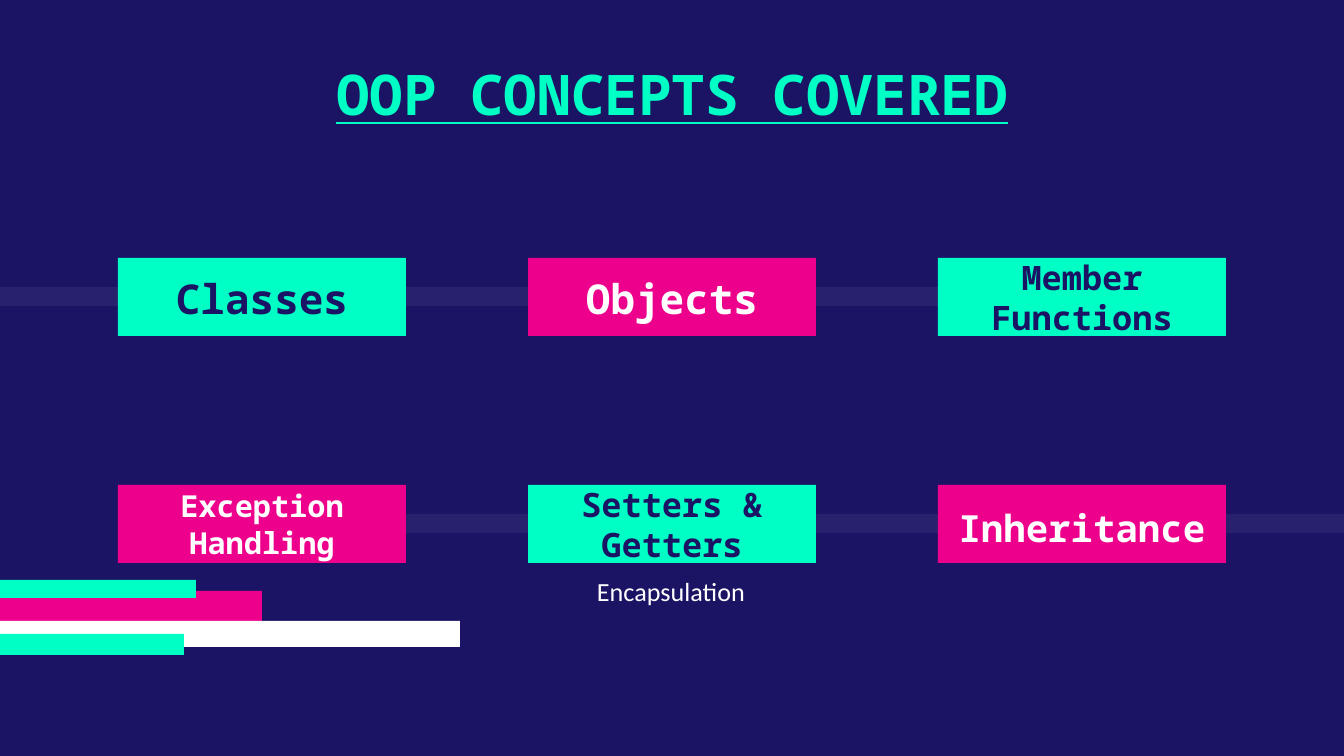
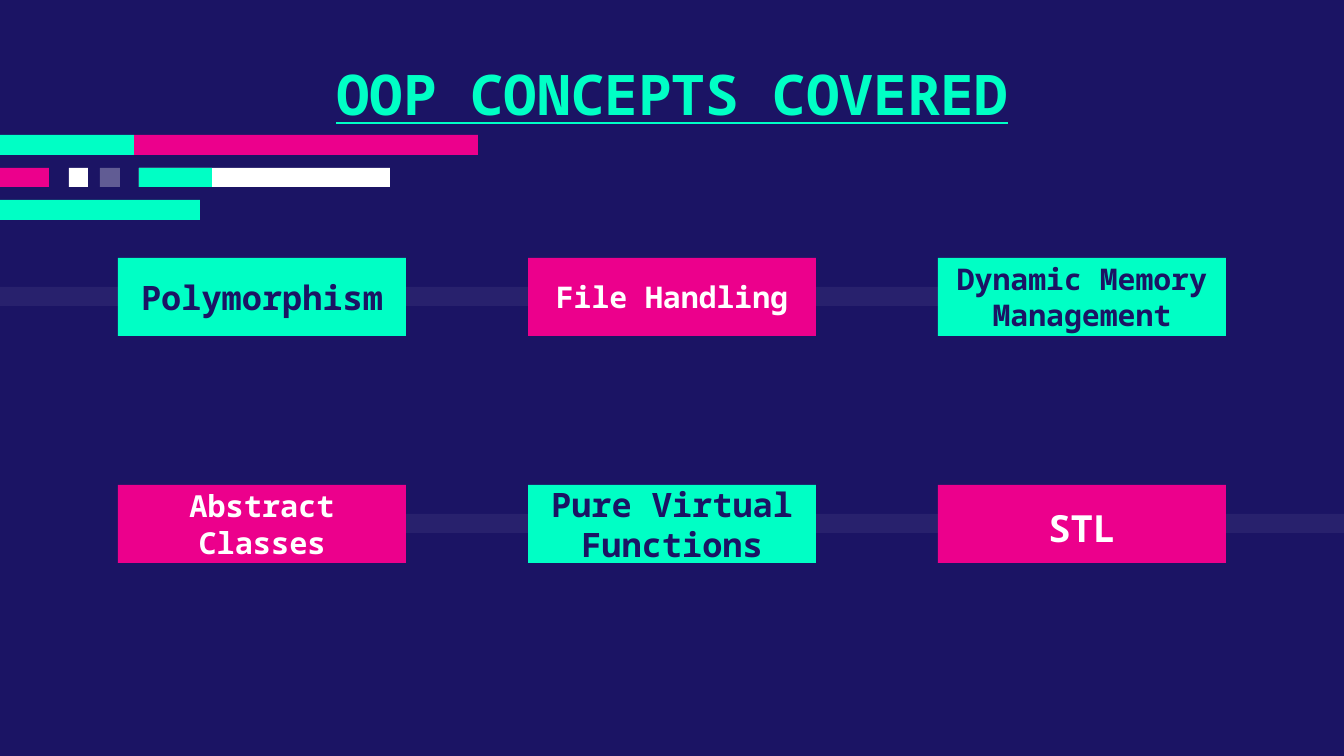
from lxml import etree
from pptx import Presentation
from pptx.dml.color import RGBColor
from pptx.enum.shapes import MSO_SHAPE
from pptx.enum.text import MSO_ANCHOR, MSO_AUTO_SIZE, PP_ALIGN
from pptx.oxml.ns import qn
from pptx.util import Pt

RECTANGLE = MSO_SHAPE.RECTANGLE
TOP, MIDDLE, BOTTOM = MSO_ANCHOR.TOP, MSO_ANCHOR.MIDDLE, MSO_ANCHOR.BOTTOM
CENTER = PP_ALIGN.CENTER
NO_AUTOFIT = MSO_AUTO_SIZE.NONE

COLORS = {"navy": "1B1464", "teal": "00FFC5", "pink": "EC008C", "white": "FFFFFF"}
MONO, SANS = "Noto Sans Mono", "Calibri"
TITLE_SLIDE, TITLE_ONLY = 0, 5

EMU_PER_PX = 914400 / 134.4
SLIDE_WIDTH, SLIDE_HEIGHT = 1344, 756
INSET = 13
TITLE_BOX = (188, 47, 968, 98)
SUBTITLE_BOX = (532, 562, 278, 98)
CARD_LEFT, CARD_TOP, CARD_WIDTH, CARD_HEIGHT = 118, 258, 288, 78
COLUMN_STEP, ROW_STEP, COLUMNS = 410, 227, 3
LARGE_LABEL = 20
RAILS = [(0, 287, 1145, 19), (137, 514, 1207, 19)]
RAIL_OPACITY = 6

SLIDES = [
    {
        "layout": TITLE_SLIDE,
        "title": "OOP CONCEPTS COVERED",
        "subtitle": "Encapsulation",
        "cards": [
            ("Classes", 22), ("Objects", 22), ("Member Functions", 18),
            ("Exception Handling", 16.2), ("Setters & Getters", 18), ("Inheritance", 20),
        ],
        "bars": [
            ("pink", (-331, 591, 593, 43), 100),
            ("teal", (-185, 580, 381, 18), 100),
            ("white", (-103, 621, 563, 26), 100),
            ("teal", (-266, 634, 450, 21), 100),
        ],
    },
    {
        "layout": TITLE_ONLY,
        "title": "OOP CONCEPTS COVERED",
        "subtitle": None,
        "cards": [
            ("Polymorphism", 18), ("File Handling", 16), ("Dynamic Memory Management", 16),
            ("Abstract Classes", 16.2), ("Pure Virtual Functions", 18), ("STL", 20),
        ],
        "bars": [
            ("pink", (134, 135, 344, 20), 100),
            ("teal", (-36, 135, 170, 20), 100),
            ("white", (139, 168, 251, 19), 100),
            ("teal", (139, 168, 73, 19), 100),
            ("pink", (-36, 168, 85, 19), 100),
            ("white", (100, 168, 20, 19), 31),
            ("white", (69, 168, 19, 19), 100),
            ("teal", (-2, 200, 202, 20), 100),
        ],
    },
]


def px(value):
    return round(value * EMU_PER_PX)


def color(name):
    return RGBColor.from_string(COLORS[name])


def add_block(slide, fill, box, opacity=100):
    shape = slide.shapes.add_shape(RECTANGLE, *map(px, box))
    shape.shadow.inherit = False
    shape.fill.solid()
    shape.fill.fore_color.rgb = color(fill)
    shape.line.fill.background()
    if opacity < 100:
        solid_color = shape.fill._xPr.find(".//" + qn("a:srgbClr"))
        etree.SubElement(solid_color, qn("a:alpha"), val=str(opacity * 1000))
    return shape


def write(shape, text, size, font_name, text_color, anchor, bold=True, underline=False):
    frame = shape.text_frame
    frame.text = text
    frame.word_wrap = True
    frame.auto_size = NO_AUTOFIT
    frame.vertical_anchor = anchor
    frame.margin_left = frame.margin_right = px(INSET)
    frame.margin_top = frame.margin_bottom = px(INSET)
    paragraph = frame.paragraphs[0]
    paragraph.alignment = CENTER
    paragraph.line_spacing = 1.0
    paragraph.space_before = Pt(0)
    font = paragraph.font
    font.name, font.size = font_name, Pt(size)
    font.bold, font.underline = bold, underline
    font.color.rgb = color(text_color)


def place(shape, box):
    shape.left, shape.top, shape.width, shape.height = map(px, box)


def add_cards(slide, cards):
    for index, (label, size) in enumerate(cards):
        row, column = divmod(index, COLUMNS)
        box = (CARD_LEFT + column * COLUMN_STEP, CARD_TOP + row * ROW_STEP,
               CARD_WIDTH, CARD_HEIGHT)
        fill, text_color = [("teal", "navy"), ("pink", "white")][(row + column) % 2]
        anchor = BOTTOM if size >= LARGE_LABEL else MIDDLE
        write(add_block(slide, fill, box), label, size, MONO, text_color, anchor)


def add_slide(presentation, content):
    slide = presentation.slides.add_slide(presentation.slide_layouts[content["layout"]])
    title = slide.shapes.title
    place(title, TITLE_BOX)
    write(title, content["title"], 30, MONO, "teal", TOP, underline=True)
    if content["subtitle"]:
        subtitle = slide.placeholders[1]
        place(subtitle, SUBTITLE_BOX)
        write(subtitle, content["subtitle"], 14, SANS, "white", TOP, bold=False)
    for rail in RAILS:
        add_block(slide, "white", rail, RAIL_OPACITY)
    add_cards(slide, content["cards"])
    for fill, box, opacity in content["bars"]:
        add_block(slide, fill, box, opacity)


def main():
    presentation = Presentation()
    presentation.slide_width = px(SLIDE_WIDTH)
    presentation.slide_height = px(SLIDE_HEIGHT)
    background = presentation.slide_master.background.fill
    background.solid()
    background.fore_color.rgb = color("navy")
    for content in SLIDES:
        add_slide(presentation, content)
    presentation.save("out.pptx")


if __name__ == "__main__":
    main()
